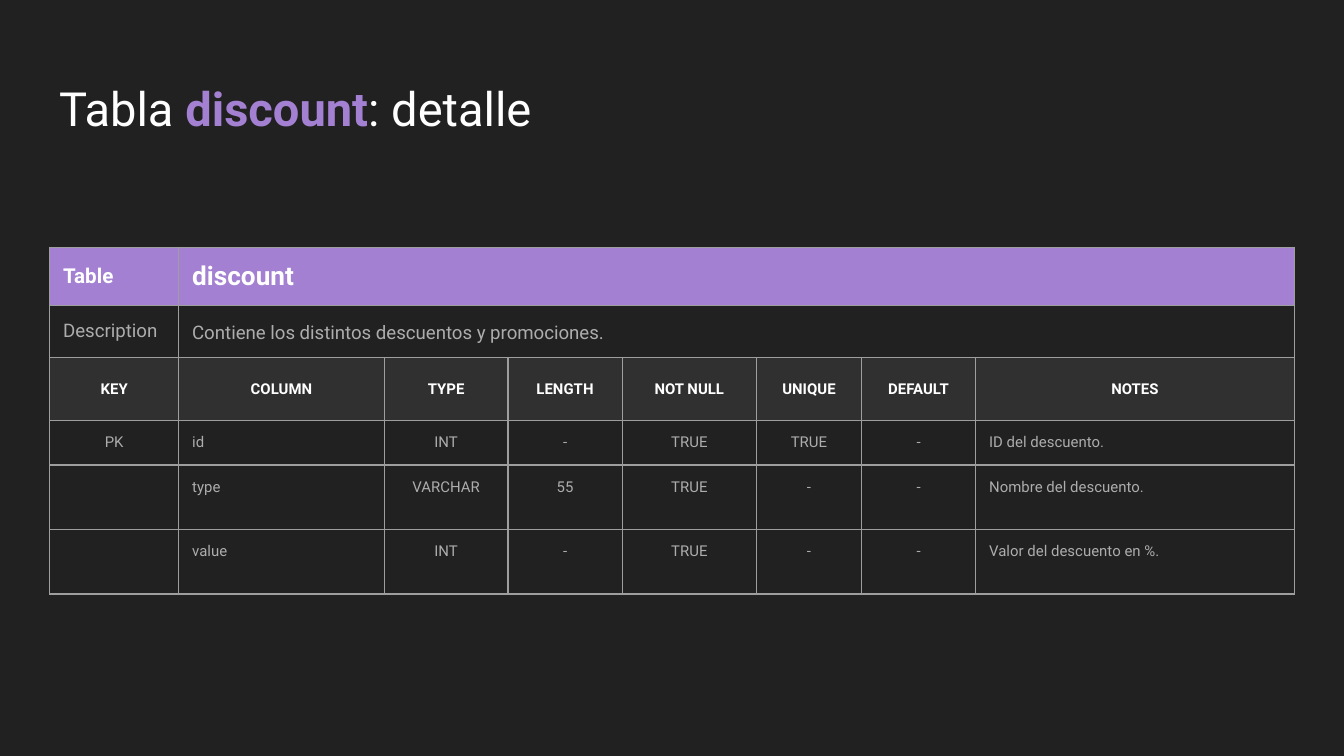
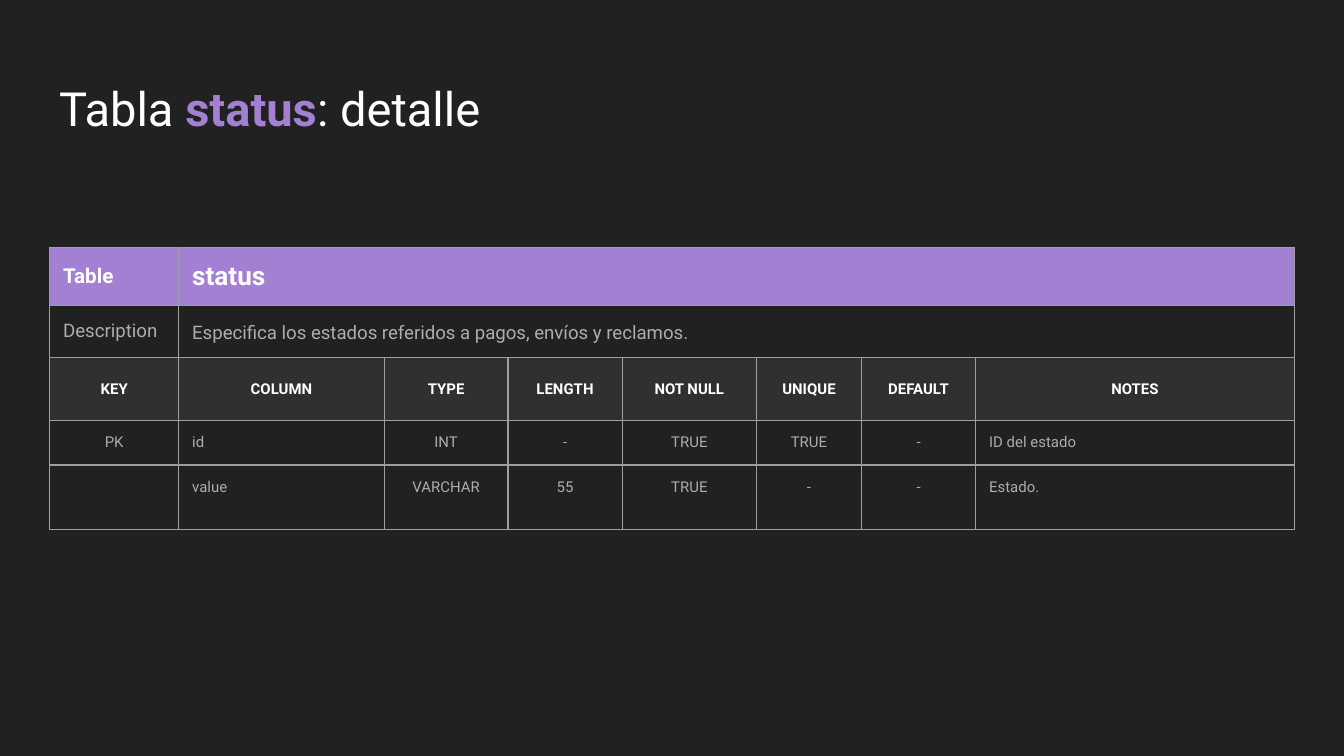
from lxml import etree
from pptx import Presentation
from pptx.dml.color import RGBColor
from pptx.enum.text import MSO_ANCHOR as Anchor, PP_ALIGN as Align
from pptx.oxml.ns import qn
from pptx.util import Inches, Pt

# Shared style
FONT = "Roboto"
BACKGROUND, HEADING_FILL = "212121", "303030"
PURPLE, WHITE, GREY, RULE = "A380D1", "FFFFFF", "ADADAD", "9E9E9E"
INSET = Inches(0.1)

# Shared table layout
HEADINGS = ["KEY", "COLUMN", "TYPE", "LENGTH", "NOT NULL", "UNIQUE", "DEFAULT", "NOTES"]
WIDTHS = [0.96, 1.53, 0.92, 0.85, 1, 0.78, 0.85, 2.37]
TOP_HEIGHTS = [0.43, 0.39, 0.47]
KEYED_HEIGHT, PLAIN_HEIGHT = 0.33, 0.48
LEFT_COLUMNS = {"COLUMN", "NOTES"}

# Name, description and fields of each database table
TABLES = [
    ("discount", "Contiene los distintos descuentos y promociones.", [
        ["PK", "id", "INT", "-", "TRUE", "TRUE", "-", "ID del descuento."],
        ["", "type", "VARCHAR", "55", "TRUE", "-", "-", "Nombre del descuento."],
        ["", "value", "INT", "-", "TRUE", "-", "-", "Valor del descuento en %."],
    ]),
    ("status", "Especifica los estados referidos a pagos, envíos y reclamos.", [
        ["PK", "id", "INT", "-", "TRUE", "TRUE", "-", "ID del estado"],
        ["", "value", "VARCHAR", "55", "TRUE", "-", "-", "Estado."],
    ]),
]


def color(value):
    return RGBColor.from_string(value)


def add_text(paragraph, text, size=8, ink=GREY, bold=False, align=Align.LEFT):
    paragraph.alignment = align
    if not text:
        # An empty cell keeps the small size so that its row does not grow
        paragraph._p.get_or_add_endParaRPr().set("sz", str(size * 100))
        return
    run = paragraph.add_run()
    run.text = text
    run.font.name = FONT
    run.font.size = Pt(size)
    run.font.bold = bold
    run.font.color.rgb = color(ink)


def set_insets(box):
    box.margin_left = box.margin_right = box.margin_top = box.margin_bottom = INSET


def add_borders(cell):
    properties = cell._tc.get_or_add_tcPr()
    for side in ("lnL", "lnR", "lnT", "lnB"):
        line = etree.SubElement(properties, qn(f"a:{side}"), w=str(Pt(0.75)))
        solid = etree.SubElement(line, qn("a:solidFill"))
        etree.SubElement(solid, qn("a:srgbClr"), val=RULE)


def fill_cell(cell, text, fill=None, anchor=Anchor.MIDDLE, **text_format):
    set_insets(cell)
    cell.vertical_anchor = anchor
    if fill:
        cell.fill.solid()
        cell.fill.fore_color.rgb = color(fill)
    add_text(cell.text_frame.paragraphs[0], text, **text_format)


def add_title(slide, name):
    title = slide.shapes.title
    title.left, title.top = Inches(0.34), Inches(0.49)
    title.width, title.height = Inches(9.32), Inches(0.63)
    frame = title.text_frame
    frame.word_wrap = True
    frame.vertical_anchor = Anchor.TOP
    set_insets(frame)
    line = frame.paragraphs[0]
    add_text(line, "Tabla ", size=25.2, ink=WHITE)
    add_text(line, name, size=25.2, ink=PURPLE, bold=True)
    add_text(line, ": detalle", size=25.2, ink=WHITE)


def add_detail_table(slide, name, description, fields):
    heights = TOP_HEIGHTS + [KEYED_HEIGHT if field[0] else PLAIN_HEIGHT for field in fields]
    detail = slide.shapes.add_table(
        len(heights), len(WIDTHS), Inches(0.37), Inches(1.84),
        Inches(sum(WIDTHS)), Inches(sum(heights))).table
    detail.first_row = detail.horz_banding = False
    for column, width in zip(detail.columns, WIDTHS):
        column.width = Inches(width)
    for row, height in zip(detail.rows, heights):
        row.height = Inches(height)
    for cell in detail.iter_cells():
        add_borders(cell)
        cell.fill.background()

    # Name and description, each across the remaining columns
    for row in (0, 1):
        detail.cell(row, 1).merge(detail.cell(row, len(WIDTHS) - 1))
    fill_cell(detail.cell(0, 0), "Table", PURPLE, size=11, ink=WHITE, bold=True)
    fill_cell(detail.cell(0, 1), name, PURPLE, size=14, ink=WHITE, bold=True)
    fill_cell(detail.cell(1, 0), "Description", size=10)
    fill_cell(detail.cell(1, 1), description, size=10)
    summary = detail.cell(1, 1).text_frame.paragraphs[0]
    summary.line_spacing = 1.15
    summary.space_after = Pt(12)

    # Headings and fields
    for column, heading in enumerate(HEADINGS):
        fill_cell(detail.cell(2, column), heading, HEADING_FILL,
                  ink=WHITE, bold=True, align=Align.CENTER)
        align = Align.LEFT if heading in LEFT_COLUMNS else Align.CENTER
        for row, field in enumerate(fields, start=3):
            fill_cell(detail.cell(row, column), field[column], anchor=Anchor.TOP, align=align)


def main():
    deck = Presentation()
    # Widescreen, 16:9
    deck.slide_width = Inches(10)
    deck.slide_height = Inches(10) * 9 // 16
    backdrop = deck.slide_master.background.fill
    backdrop.solid()
    backdrop.fore_color.rgb = color(BACKGROUND)
    title_only = deck.slide_layouts[5]
    for name, description, fields in TABLES:
        slide = deck.slides.add_slide(title_only)
        add_title(slide, name)
        add_detail_table(slide, name, description, fields)
    deck.save("out.pptx")


if __name__ == "__main__":
    main()
